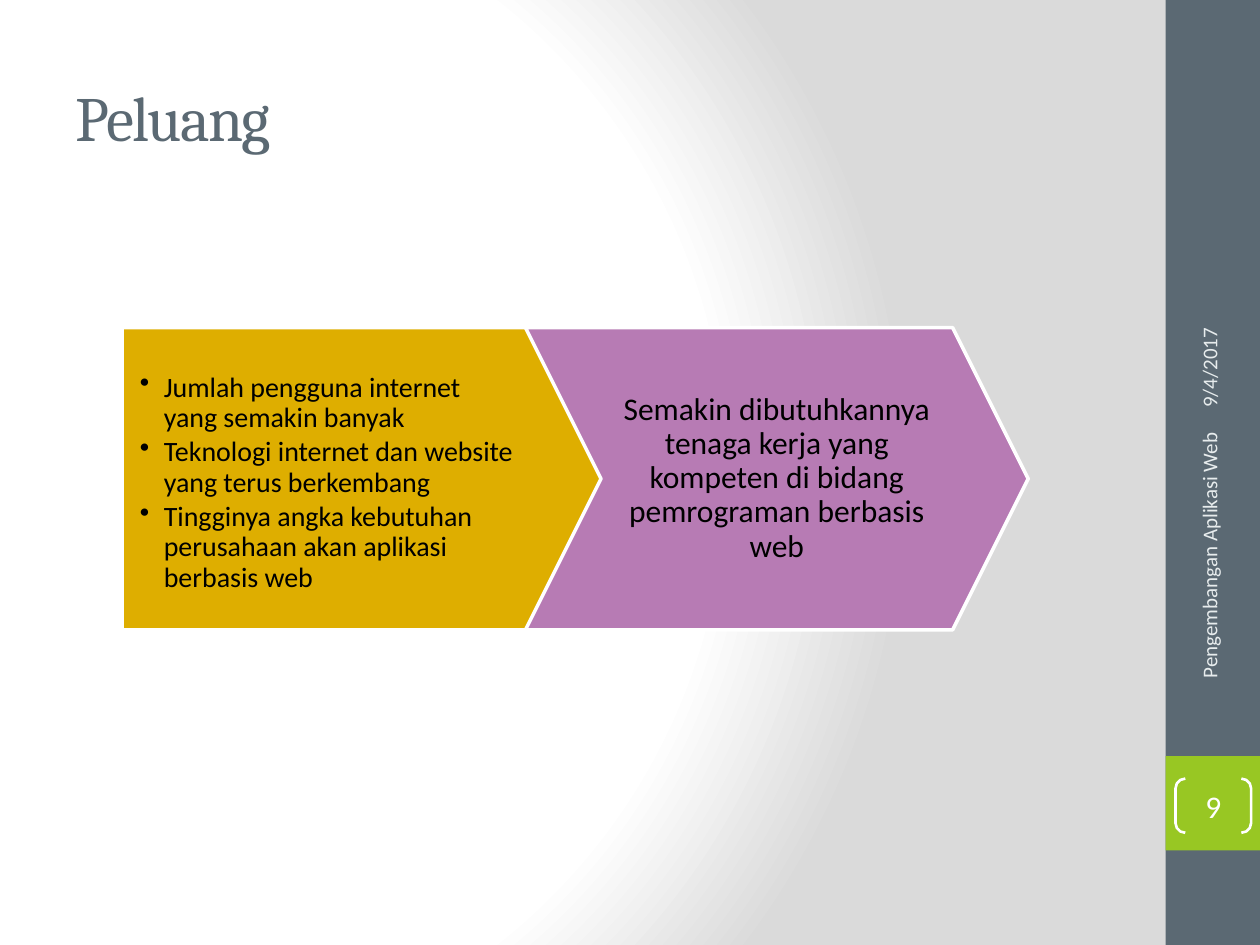
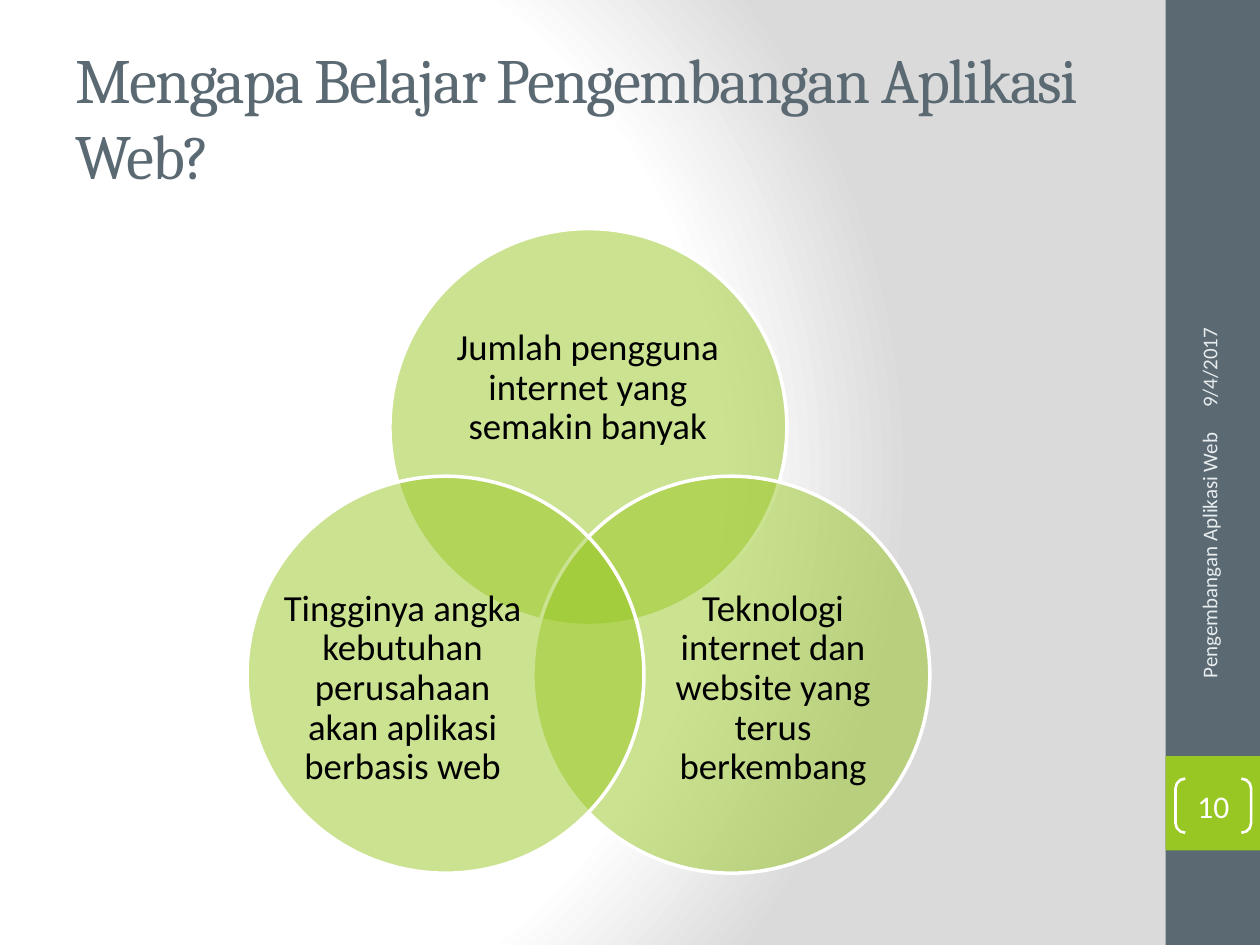
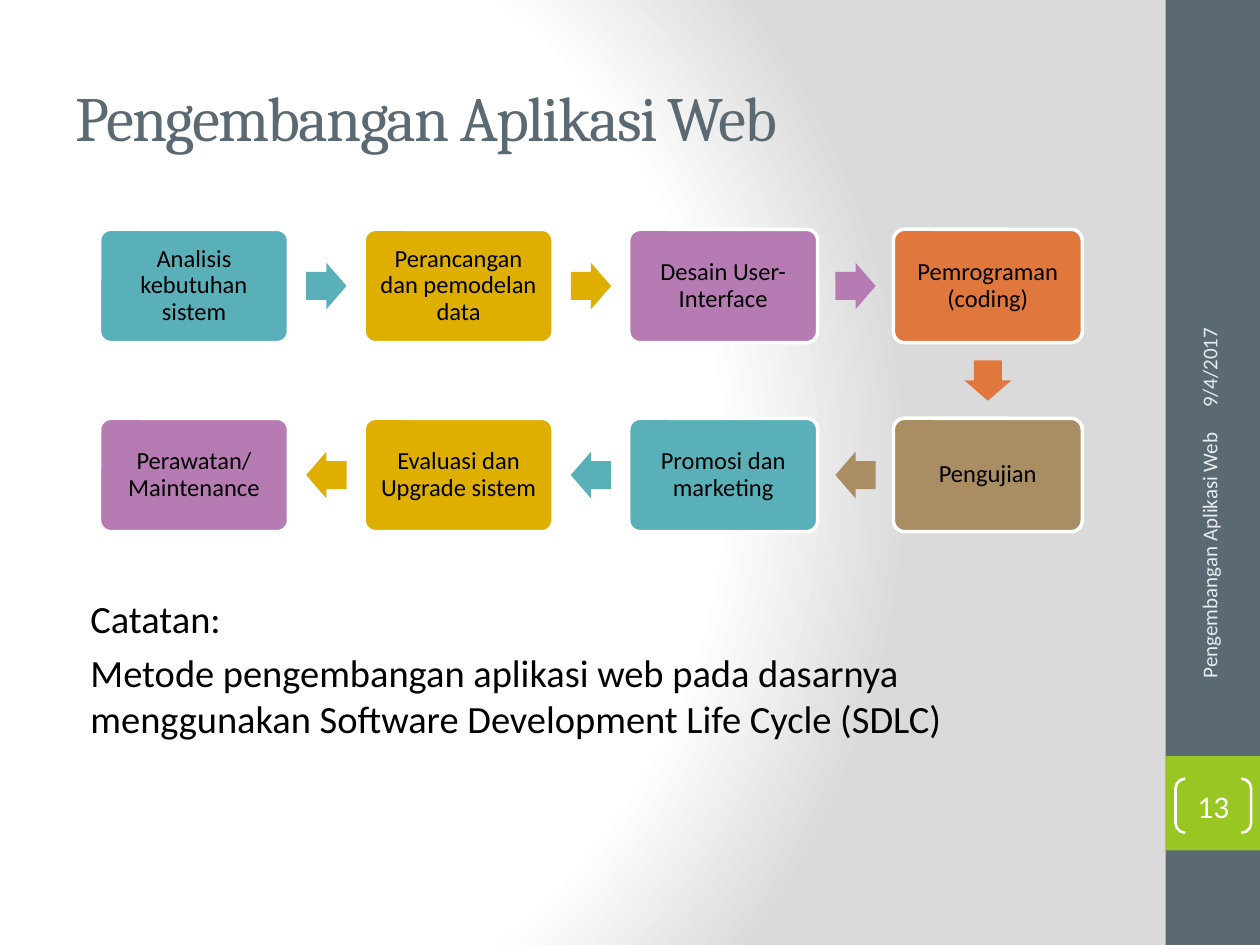
"""Builds three slides on the opportunities and the steps of web application development."""
from math import atan2, cos, degrees, radians, sin

from pptx import Presentation
from pptx.dml.color import RGBColor
from pptx.enum.shapes import MSO_SHAPE
from pptx.enum.text import MSO_ANCHOR, MSO_AUTO_SIZE, PP_ALIGN
from pptx.oxml import parse_xml
from pptx.oxml.ns import nsdecls, qn
from pptx.oxml.xmlchemy import OxmlElement
from pptx.util import Inches, Pt

COLORS = {
    "slate": "5B6973", "green": "98C723", "pale": "E7ECED", "white": "FFFFFF",
    "black": "000000", "gray": "DADADA", "gold": "DEAE00", "purple": "B77BB4",
    "teal": "59B0B9", "orange": "E0773C", "tan": "A98D63",
}
HEADING_FONT, BODY_FONT = "Cambria", "Calibri"
COURSE = "Pengembangan Aplikasi Web"
DATE = "9/4/2017"

USERS = "Jumlah pengguna internet yang semakin banyak"
TECHNOLOGY = "Teknologi internet dan website yang terus berkembang"
DEMAND = "Tingginya angka kebutuhan perusahaan akan aplikasi berbasis web"
OUTCOME = "Semakin dibutuhkannya tenaga kerja yang kompeten di bidang pemrograman berbasis web"

VENN_CENTER, VENN_RADIUS, CIRCLE_SIZE = (4.67, 4.7), 1.31, 3.15
VENN = [
    (USERS, -90, (3.51, 2.37, 2.31, 1.42)),
    (TECHNOLOGY, 30, (5.19, 4.6, 1.89, 1.73)),
    (DEMAND, 150, (2.25, 4.6, 1.89, 1.73)),
]

STEPS = [
    ("Analisis kebutuhan sistem", "teal"),
    ("Perancangan dan pemodelan data", "gold"),
    ("Desain User-Interface", "purple"),
    ("Pemrograman (coding)", "orange"),
    ("Pengujian", "tan"),
    ("Promosi dan marketing", "teal"),
    ("Evaluasi dan Upgrade sistem", "gold"),
    ("Perawatan/ Maintenance", "purple"),
]
STEPS_PER_ROW = 4
STEP_LEFT, STEP_TOP, STEP_WIDTH, STEP_HEIGHT = 0.79, 1.82, 1.5, 0.9
STEP_PITCH, ROW_PITCH = 2.1, 1.5
ARROW_WIDTH, ARROW_HEIGHT = 0.32, 0.37
NOTES = [
    "Catatan:",
    "Metode pengembangan aplikasi web pada dasarnya menggunakan Software Development Life Cycle (SDLC)",
]


def color(name):
    return RGBColor.from_string(COLORS[name])


def add_shape(slide, kind, box, fill=None, outline=None, adjustments=()):
    shape = slide.shapes.add_shape(kind, *map(Inches, box))
    shape.shadow.inherit = False
    for index, value in enumerate(adjustments):
        shape.adjustments[index] = value
    if fill:
        shape.fill.solid()
        shape.fill.fore_color.rgb = color(fill)
    else:
        shape.fill.background()
    if outline:
        shape.line.color.rgb = color("white")
        shape.line.width = Pt(outline)
    else:
        shape.line.fill.background()
    return shape


def write(shape, texts, size, ink="black", align=PP_ALIGN.CENTER, anchor=MSO_ANCHOR.MIDDLE,
          insets=(0.1, 0.05, 0.1, 0.05), line_spacing=None, font=BODY_FONT):
    frame = shape.text_frame
    frame.word_wrap = True
    frame.auto_size = MSO_AUTO_SIZE.NONE
    frame.vertical_anchor = anchor
    frame.margin_left, frame.margin_top, frame.margin_right, frame.margin_bottom = map(Inches, insets)
    frame.text = "\n".join(texts)
    for paragraph in frame.paragraphs:
        paragraph.alignment = align
        paragraph.line_spacing = line_spacing
        paragraph.font.name = font
        paragraph.font.size = Pt(size)
        paragraph.font.color.rgb = color(ink)
    return frame.paragraphs


def add_text(slide, box, texts, size, rotation=0, **style):
    text_box = slide.shapes.add_textbox(*map(Inches, box))
    text_box.rotation = rotation
    return write(text_box, texts, size, **style)


def indent(paragraph, left, bullet=None):
    properties = paragraph._p.get_or_add_pPr()
    properties.set("marL", str(Inches(left)))
    properties.set("indent", str(-Inches(left) if bullet else 0))
    if bullet:
        mark = OxmlElement("a:buChar")
        mark.set("char", bullet)
        properties.append(mark)


def set_background(master):
    background = master.element.find(".//" + qn("p:bg"))
    background.clear()
    stops = "".join(
        f'<a:gs pos="{position}000"><a:srgbClr val="{COLORS[name]}"/></a:gs>'
        for position, name in [(0, "white"), (75, "white"), (100, "gray")])
    background.append(parse_xml(
        f'<p:bgPr {nsdecls("p", "a")}><a:gradFill rotWithShape="1"><a:gsLst>{stops}</a:gsLst>'
        '<a:path path="circle"><a:fillToRect l="20000" t="50000" r="100000" b="50000"/></a:path>'
        '</a:gradFill><a:effectLst/></p:bgPr>'))


def add_bands(slide, layout):
    for placeholder in list(layout.placeholders)[1:]:
        layout.shapes.element.remove(placeholder.element)
    for box, fill in [((9.25, 0, 0.75, 7.5), "slate"), ((9.25, 6, 0.75, 0.75), "green")]:
        band = add_shape(slide, MSO_SHAPE.RECTANGLE, box, fill)
        layout.shapes.element.append(band.element)


def add_slide(presentation, title, number):
    slide = presentation.slides.add_slide(presentation.slide_layouts[5])
    heading = slide.shapes.title
    heading.left, heading.top, heading.width, heading.height = map(Inches, (0.5, 0.3, 8.33, 1.25))
    paragraph = write(heading, [title], 36, "slate", PP_ALIGN.LEFT, font=HEADING_FONT)[0]
    paragraph.runs[0]._r.get_or_add_rPr().set("spc", "-100")
    add_text(slide, (8.26, 1.8, 2.67, 0.4), [DATE], 12, 270, ink="pale", align=PP_ALIGN.LEFT)
    add_text(slide, (8.3, 4.43, 2.59, 0.4), [COURSE], 12, 270, ink="pale", align=PP_ALIGN.RIGHT)
    badge = add_shape(slide, MSO_SHAPE.DOUBLE_BRACKET, (9.33, 6.18, 0.6, 0.43),
                      outline=1.5, adjustments=[0.18])
    write(badge, [str(number)], 18, "white", insets=(0, 0, 0, 0))
    return slide


def add_opportunity(slide):
    causes = add_shape(slide, MSO_SHAPE.PENTAGON, (0.97, 2.6, 3.99, 2.4), "gold", 2, [0.25])
    paragraphs = write(causes, [USERS, TECHNOLOGY, DEMAND], 16, align=PP_ALIGN.LEFT,
                       anchor=MSO_ANCHOR.TOP, insets=(0.14, 0.36, 0.56, 0.04), line_spacing=0.9)
    for paragraph in paragraphs:
        paragraph.space_after = Pt(2.5)
        indent(paragraph, 0.19, "•")
    outcome = add_shape(slide, MSO_SHAPE.CHEVRON, (4.17, 2.6, 3.99, 2.4), "purple", 2, [0.25])
    write(outcome, [OUTCOME], 18, insets=(0.14, 0.05, 0.14, 0.05), line_spacing=0.9)


def add_venn(slide):
    for text, angle, text_area in VENN:
        left = VENN_CENTER[0] + VENN_RADIUS * cos(radians(angle)) - CIRCLE_SIZE / 2
        top = VENN_CENTER[1] + VENN_RADIUS * sin(radians(angle)) - CIRCLE_SIZE / 2
        circle = add_shape(slide, MSO_SHAPE.OVAL, (left, top, CIRCLE_SIZE, CIRCLE_SIZE), "green", 2)
        alpha = OxmlElement("a:alpha")
        alpha.set("val", "50000")
        circle.element.spPr.find(qn("a:solidFill"))[0].append(alpha)
        add_text(slide, text_area, [text], 21, insets=(0, 0, 0, 0), line_spacing=0.9)


def step_corner(index):
    row, column = divmod(index, STEPS_PER_ROW)
    if row % 2:
        column = STEPS_PER_ROW - 1 - column
    return STEP_LEFT + column * STEP_PITCH, STEP_TOP + row * ROW_PITCH


def add_process(slide):
    for index, (text, fill) in enumerate(STEPS):
        left, top = step_corner(index)
        step = add_shape(slide, MSO_SHAPE.ROUNDED_RECTANGLE, (left, top, STEP_WIDTH, STEP_HEIGHT),
                         fill, 2, [0.1])
        write(step, [text], 14, insets=(0.06, 0.06, 0.06, 0.06), line_spacing=0.9)
        if index + 1 < len(STEPS):
            next_left, next_top = step_corner(index + 1)
            arrow_left = (left + next_left + STEP_WIDTH - ARROW_WIDTH) / 2
            arrow_top = (top + next_top + STEP_HEIGHT - ARROW_HEIGHT) / 2
            arrow = add_shape(slide, MSO_SHAPE.RIGHT_ARROW,
                              (arrow_left, arrow_top, ARROW_WIDTH, ARROW_HEIGHT),
                              fill, adjustments=[0.6, 0.5])
            arrow.rotation = degrees(atan2(next_top - top, next_left - left))


def add_notes_text(slide):
    for paragraph in add_text(slide, (0.5, 4.67, 8.33, 2.33), NOTES, 22,
                              align=PP_ALIGN.LEFT, anchor=MSO_ANCHOR.TOP):
        paragraph.space_before = Pt(4.5)
        indent(paragraph, 0.12)


def main():
    presentation = Presentation()
    presentation.slide_width, presentation.slide_height = Inches(10), Inches(7.5)
    set_background(presentation.slide_master)

    opportunity = add_slide(presentation, "Peluang", 9)
    add_bands(opportunity, presentation.slide_layouts[5])
    add_opportunity(opportunity)

    add_venn(add_slide(presentation, "Mengapa Belajar Pengembangan Aplikasi Web?", 10))

    process = add_slide(presentation, COURSE, 13)
    add_process(process)
    add_notes_text(process)
    presentation.save("out.pptx")


if __name__ == "__main__":
    main()
